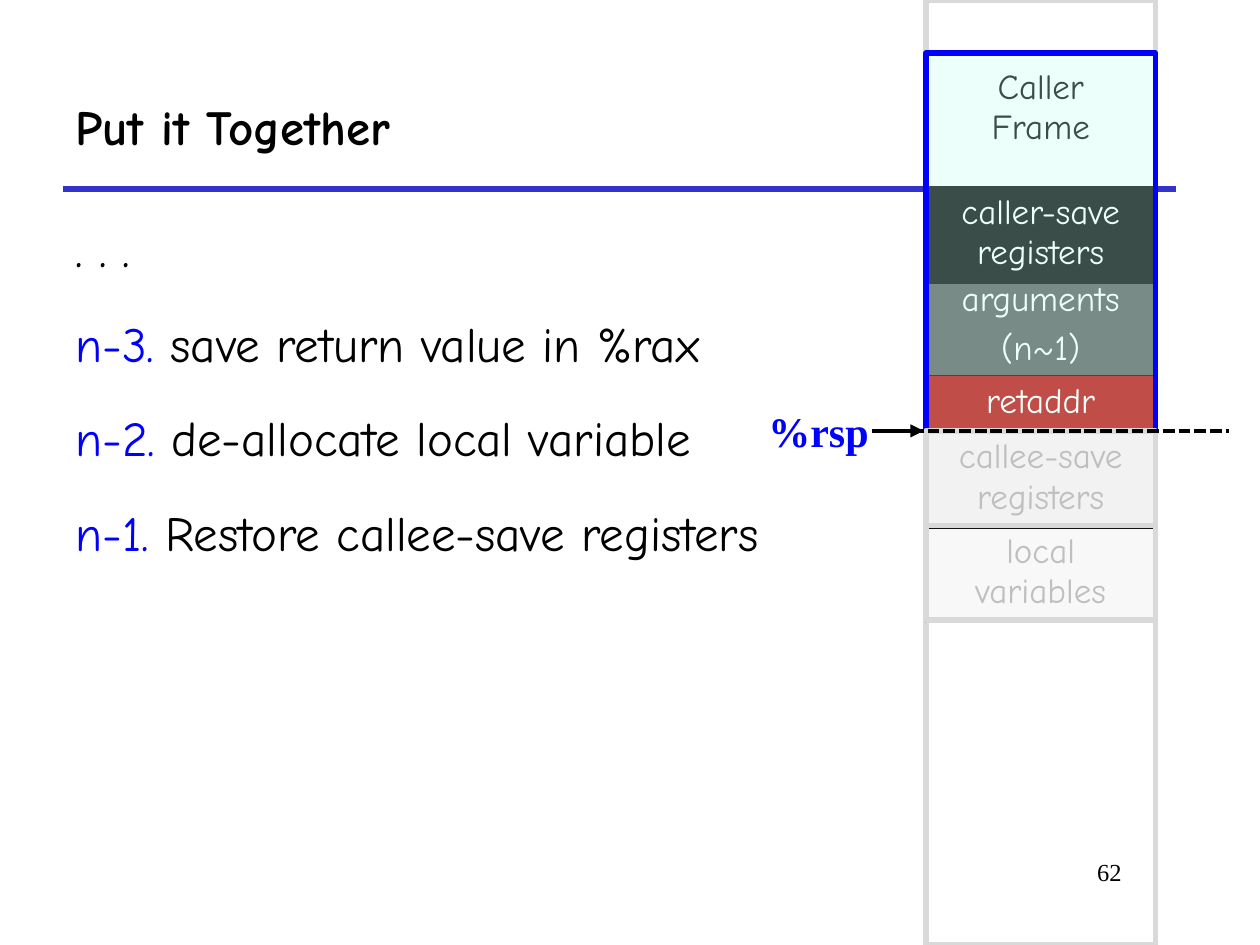
from lxml import etree
from pptx import Presentation
from pptx.dml.color import RGBColor
from pptx.enum import dml, shapes, text
from pptx.oxml import ns
from pptx.util import Inches, Pt

COLORS = {
    "black": "000000", "white": "FFFFFF", "blue": "0000FF", "rule": "3333CC",
    "mint": "C2FFF0", "red": "C00000", "dark": "595959",
    "outline": "D9D9D9", "faded": "BFBFBF", "pale": "F2F2F2",
}
COLUMN_LEFT, COLUMN_WIDTH = 7.35, 1.82
FRAME_TOP, STACK_POINTER = 0.42, 3.42


def color(name):
    return RGBColor.from_string(COLORS[name])


def add_run(paragraph, words, size, name="black", font="Comic Neue", bold=False):
    run = paragraph.add_run()
    run.text = words
    run.font.size, run.font.name, run.font.bold = Pt(size), font, bold
    run.font.color.rgb = color(name)


presentation = Presentation()
presentation.slide_width, presentation.slide_height = Inches(10), Inches(7.5)
slide = presentation.slides.add_slide(presentation.slide_layouts[5])

# Title
title = slide.shapes.title
title.left, title.top = Inches(0.5), Inches(0.5)
title.width, title.height = Inches(8.83), Inches(1)
title.text_frame.vertical_anchor = text.MSO_ANCHOR.MIDDLE
title.text_frame.auto_size = text.MSO_AUTO_SIZE.NONE
paragraph = title.text_frame.paragraphs[0]
paragraph.alignment = text.PP_ALIGN.LEFT
add_run(paragraph, "Put it Together", 28, bold=True)

# Lines: the title rule, the stack pointer level and its arrow
lines = []
for left, right, y, name, width in [
    (0.5, 9.33, 1.5, "rule", 3),
    (6.99, 9.75, STACK_POINTER, "black", 2.25),
    (6.92, 7.33, STACK_POINTER, "black", 2.5),
]:
    line = slide.shapes.add_connector(
        shapes.MSO_CONNECTOR.STRAIGHT, Inches(left), Inches(y), Inches(right), Inches(y))
    line.line.color.rgb, line.line.width = color(name), Pt(width)
    etree.SubElement(line._element.spPr, ns.qn("a:effectLst"))
    lines.append(line)
rule, level, arrow = lines
level.line.dash_style = dml.MSO_LINE.SQUARE_DOT
etree.SubElement(arrow.line._get_or_add_ln(), ns.qn("a:tailEnd"), type="triangle")

# Steps
steps = slide.shapes.add_textbox(Inches(0.5), Inches(1.5), Inches(9.5), Inches(5.58)).text_frame
steps.word_wrap = True
for index, (number, step) in enumerate([
    ("", ". . ."),
    ("n-3. ", "save return value in %rax"),
    ("n-2. ", "de-allocate local variable"),
    ("n-1. ", "Restore callee-save registers"),
]):
    paragraph = steps.add_paragraph() if index else steps.paragraphs[0]
    paragraph.line_spacing = 1.4
    if number:
        paragraph.space_before = Pt(7)
        add_run(paragraph, number, 28, "blue")
    add_run(paragraph, step, 28)

# Stack pointer label, with no right inset so that the name fits on one line
label = slide.shapes.add_textbox(Inches(6), Inches(3.17), Inches(0.99), Inches(0.5)).text_frame
label.word_wrap = True
label.margin_right = 0
add_run(label.paragraphs[0], "%rsp", 24, "blue", "Times New Roman", True)

# Page number
page = slide.shapes.add_textbox(Inches(7.58), Inches(6.75), Inches(1.42), Inches(0.5)).text_frame
page.word_wrap = True
page.paragraphs[0].alignment = text.PP_ALIGN.RIGHT
add_run(page.paragraphs[0], "62", 14, font="Times New Roman")

# Stack cells: top, height, paragraphs, text colour, fill, opacity in percent
for top, height, paragraphs, name, fill, opacity in [
    (2.17, 0.83, ["arguments", "(n~1)"], "white", "dark", 100),
    (1.48, 0.77, ["caller-save registers"], "white", "black", 100),
    (2.98, 0.43, ["retaddr"], "white", "red", 100),
    (FRAME_TOP, 3, ["Caller\vFrame"], "black", None, 0),
    (STACK_POINTER, 0.77, ["callee-save registers"], "faded", "pale", 100),
    (4.17, 0.77, ["local variables"], "faded", "faded", 10),
]:
    table = slide.shapes.add_table(
        1, 1, Inches(COLUMN_LEFT), Inches(top), Inches(COLUMN_WIDTH), Inches(height)).table
    table.first_row = table.horz_banding = False
    cell = table.cell(0, 0)
    cell.margin_left = cell.margin_right = Inches(0.1)
    cell.margin_top = Inches(0.05 if fill else 0.12)
    cell.margin_bottom = Inches(0.05)
    properties = cell._tc.get_or_add_tcPr()
    for side in ("lnL", "lnR", "lnT", "lnB"):
        border = etree.SubElement(properties, ns.qn(f"a:{side}"), w=str(Pt(1.08)))
        solid = etree.SubElement(border, ns.qn("a:solidFill"))
        etree.SubElement(solid, ns.qn("a:srgbClr"), val=COLORS["black"])
    if fill:
        cell.fill.solid()
        cell.fill.fore_color.rgb = color(fill)
        if opacity < 100:
            tint = properties.find(ns.qn("a:solidFill"))[0]
            etree.SubElement(tint, ns.qn("a:alpha"), val=str(opacity * 1000))
    else:
        cell.fill.background()
    for index, words in enumerate(paragraphs):
        paragraph = cell.text_frame.add_paragraph() if index else cell.text_frame.paragraphs[0]
        paragraph.alignment = text.PP_ALIGN.CENTER
        if index:
            paragraph.space_before = Pt(5)
        for part, line_words in enumerate(words.split("\v")):
            if part:
                paragraph.add_line_break()
            add_run(paragraph, line_words, 20, name)

# Frames: the whole column, the caller frame and the two released areas
frames = []
for top, height, name in [
    (0, 7.5, "outline"),
    (FRAME_TOP, 3, "blue"),
    (4.17, 0.75, "outline"),
    (STACK_POINTER, 0.75, "outline"),
]:
    frame = slide.shapes.add_shape(
        shapes.MSO_SHAPE.RECTANGLE, Inches(COLUMN_LEFT), Inches(top),
        Inches(COLUMN_WIDTH), Inches(height))
    frame.shadow.inherit = False
    frame.fill.background()
    frame.line.color.rgb, frame.line.width = color(name), Pt(3)
    frames.append(frame)
column, caller = frames[:2]
caller.fill.solid()
caller.fill.fore_color.rgb = color("mint")
tint = caller._element.spPr.find(ns.qn("a:solidFill"))[0]
etree.SubElement(tint, ns.qn("a:alpha"), val="30000")

# Stacking order: column and rule at the back, pointer lines in front
tree = slide.shapes._spTree
for shape in (column, rule):
    tree.insert(2, shape._element)
# The caller frame lies under the released cells
tables = [shape for shape in slide.shapes if shape.has_table]
tables[3]._element.addnext(caller._element)
for shape in (level, arrow):
    tree.append(shape._element)

presentation.save("out.pptx")
